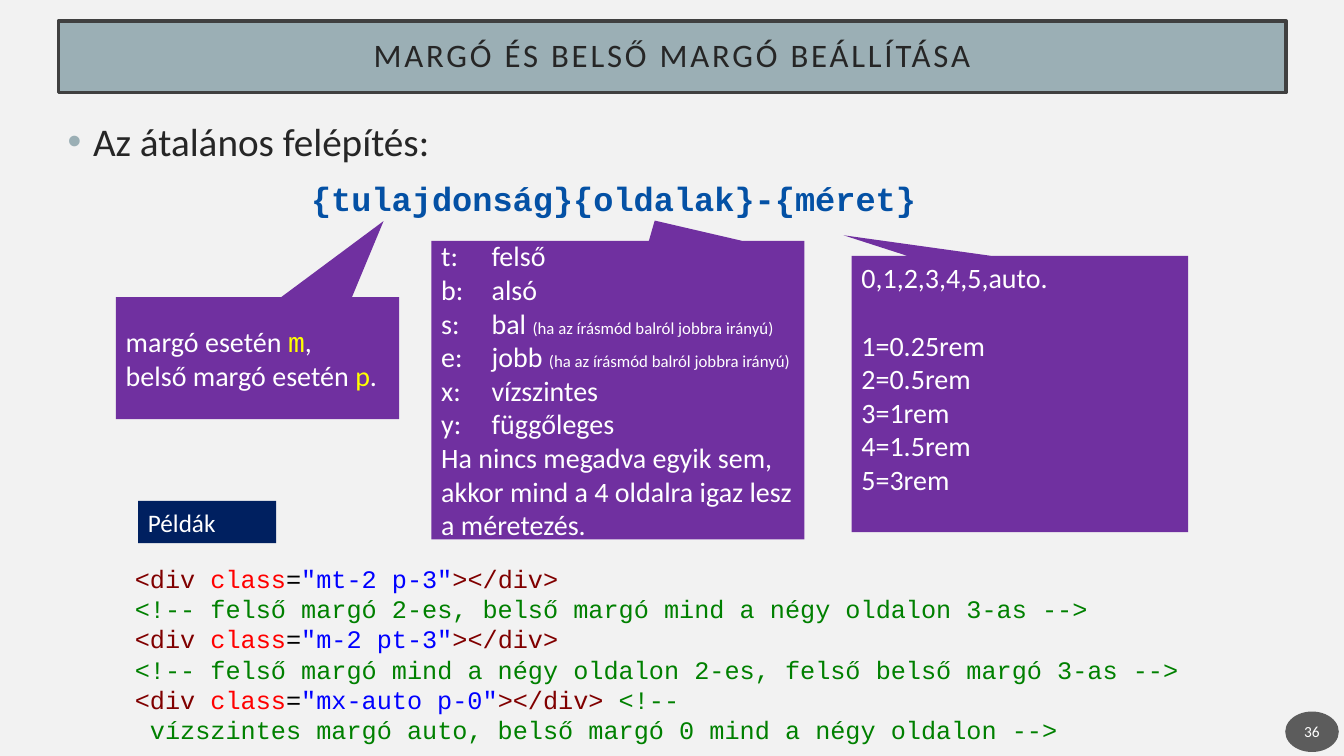
from dataclasses import dataclass
from typing import NamedTuple, Optional

from lxml.etree import SubElement
from pptx import Presentation
from pptx.dml.color import RGBColor as Rgb
from pptx.enum.shapes import MSO_SHAPE as Kind
from pptx.enum.text import MSO_ANCHOR as Anchor, MSO_AUTO_SIZE as Fit, PP_ALIGN as Align
from pptx.oxml.ns import qn
from pptx.util import Cm, Pt

HUES = {
    "page": "F2F2F2", "band": "9BAFB5", "edge": "404040", "ink": "262626",
    "badge": "1D1D1D", "white": "FFFFFF", "black": "000000", "navy": "002060",
    "purple": "7030A0", "yellow": "FFFF00", "blue": "0451A5",
    "tag": "800000", "name": "FF0000", "value": "0000FF", "note": "008000",
}
SANS, MONO = "Calibri", "Courier New"
BREAK = "\n"


class Run(NamedTuple):
    text: str
    hue: Optional[str] = None
    face: Optional[str] = None
    size: Optional[float] = None


class Place(NamedTuple):
    left: float
    top: float
    width: float
    height: float


@dataclass
class Line:
    runs: list[Run]
    gap: float = 0
    tab: float = 0


@dataclass
class Box:
    place: Place
    lines: list[Line]
    size: float
    hue: str = "white"
    face: str = SANS
    bold: bool = False
    kind: Optional[Kind] = None
    fill: str = "purple"
    tip: tuple[float, ...] = ()
    anchor: Anchor = Anchor.MIDDLE
    align: Align = Align.LEFT
    side: float = 0.25


def color(hue: str) -> Rgb:
    return Rgb.from_string(HUES[hue])


def style(font, hue=None, face=None, size=None) -> None:
    """Set only the font traits that are given."""
    if hue:
        font.color.rgb = color(hue)
    if face:
        font.name = face
    if size:
        font.size = Pt(size)


def move(shape, place: Place) -> None:
    shape.left, shape.top, shape.width, shape.height = map(Cm, place)


def paint(shape, hue: str) -> None:
    shape.fill.solid()
    shape.fill.fore_color.rgb = color(hue)


def write(frame, box: Box) -> None:
    for i, line in enumerate(box.lines):
        para = frame.paragraphs[0] if i == 0 else frame.add_paragraph()
        para.alignment = box.align
        if line.gap:
            para.space_before = Pt(line.gap)
        if line.tab:
            tabs = SubElement(para._p.get_or_add_pPr(), qn("a:tabLst"))
            SubElement(tabs, qn("a:tab"), pos=str(Cm(line.tab)), algn="l")
        style(para.font, box.hue, box.face, box.size)
        para.font.bold = box.bold
        for part in line.runs:
            if part.text == BREAK:
                para.add_line_break()
                continue
            run = para.add_run()
            run.text = part.text
            style(run.font, part.hue, part.face, part.size)


def draw(slide, box: Box):
    spot = map(Cm, box.place)
    if box.kind is None:
        shape = slide.shapes.add_textbox(*spot)
    else:
        shape = slide.shapes.add_shape(box.kind, *spot)
        shape.shadow.inherit = False
        paint(shape, box.fill)
        shape.line.fill.background()
        for i, value in enumerate(box.tip):
            shape.adjustments[i] = value
    frame = shape.text_frame
    frame.word_wrap = True
    frame.vertical_anchor = box.anchor
    frame.margin_left = frame.margin_right = Cm(box.side)
    write(frame, box)
    return shape


def code(value: str, *tail: Run) -> Line:
    """One sample element, its class value and the comment after it."""
    return Line([Run("<div", "tag"), Run(" class", "name"), Run("=", "black"),
                 Run(f'"{value}"', "value"), Run("></div>", "tag"), *tail])


def head(slide) -> None:
    title = slide.shapes.title
    move(title, Place(1.47, 0.53, 30.94, 1.8))
    paint(title, "band")
    title.line.color.rgb = color("edge")
    title.line.width = Pt(2.5)
    frame = title.text_frame
    frame.auto_size = Fit.NONE
    frame.vertical_anchor = Anchor.MIDDLE
    para = frame.paragraphs[0]
    para.alignment = Align.CENTER
    para.line_spacing = 0.9
    style(para.font, "ink", SANS, 23.4)
    run = para.add_run()
    run.text = "MARGÓ ÉS BELSŐ MARGÓ BEÁLLÍTÁSA"
    run._r.get_or_add_rPr().set("spc", "200")


def intro(slide) -> None:
    body = slide.placeholders[1]
    move(body, Place(1.45, 2.82, 28.27, 1.83))
    body.text_frame.auto_size = Fit.NONE
    para = body.text_frame.paragraphs[0]
    para.space_before = Pt(0)
    props = para._p.get_or_add_pPr()
    props.set("marL", str(Cm(0.64)))
    props.set("indent", str(Cm(-0.64)))
    tint = SubElement(props, qn("a:buClr"))
    SubElement(tint, qn("a:srgbClr"), val=HUES["band"])
    SubElement(props, qn("a:buFont"), typeface="Arial")
    SubElement(props, qn("a:buChar"), char="•")
    style(para.font, "ink", SANS, 28)
    para.add_run().text = "Az átalános felépítés:"


CALL = Kind.RECTANGULAR_CALLOUT
HINT = Run("(ha az írásmód balról jobbra irányú)", size=12)
SIDES = [("t", "felső"), ("b", "alsó"), ("s", "bal ", HINT),
         ("e", "jobb ", HINT), ("x", "vízszintes"), ("y", "függőleges")]
REMS = ["0.25", "0.5", "1", "1.5", "3"]

BADGE = Box(Place(32.39, 17.93, 1.35, 1.02), [Line([Run("36")])], 11,
            kind=Kind.OVAL, fill="badge", align=Align.CENTER, side=0.05)

BOXES = [
    Box(Place(7.59, 4.37, 16.92, 1.3),
        [Line([Run("{tulajdonság}{oldalak}-{méret}")])],
        24, "blue", MONO, bold=True, anchor=Anchor.TOP),
    Box(Place(2.92, 7.49, 7.14, 3.07),
        [Line([Run("margó esetén "), Run("m", "yellow", MONO), Run(","), Run(BREAK),
               Run("belső margó esetén "), Run("p", "yellow"), Run(".")])],
        20, kind=CALL, tip=(0.445, -1.125)),
    Box(Place(10.87, 6.07, 9.4, 7.52),
        [Line([Run(f"{key}:\t{side}"), *hint], tab=1.27) for key, side, *hint in SIDES]
        + [Line([Run("Ha nincs megadva egyik sem, akkor mind a 4 oldalra "
                     "igaz lesz a méretezés.")])],
        20, kind=CALL, tip=(0.099, -0.568)),
    Box(Place(21.46, 6.45, 8.48, 6.96),
        [Line([Run("0,1,2,3,4,5,auto.")])]
        + [Line([Run(f"{i}={rem}rem")], gap=24 if i == 1 else 0)
           for i, rem in enumerate(REMS, 1)],
        20, kind=CALL, tip=(-0.524, -0.575), anchor=Anchor.TOP),
    Box(Place(3.15, 14.07, 30.2, 4.88),
        [code("mt-2 p-3", Run(BREAK),
              Run("<!-- felső margó 2-es, belső margó mind a négy oldalon 3-as -->", "note")),
         code("m-2 pt-3", Run(BREAK),
              Run("<!-- felső margó mind a négy oldalon 2-es, felső belső margó 3-as -->",
                  "note")),
         code("mx-auto p-0", Run(" <!--", "note"), Run(BREAK),
              Run(" vízszintes margó auto, belső margó 0 mind a négy oldalon -->", "note"))],
        18, "black", MONO, anchor=Anchor.TOP),
    Box(Place(3.48, 12.62, 3.48, 1.07), [Line([Run("Példák")])], 18,
        kind=Kind.RECTANGLE, fill="navy"),
]


def main() -> None:
    deck = Presentation()
    deck.slide_width, deck.slide_height = Cm(33.87), Cm(19.05)
    slide = deck.slides.add_slide(deck.slide_layouts[1])
    paint(slide.background, "page")
    head(slide)
    intro(slide)
    badge = draw(slide, BADGE)
    tint = badge._element.spPr.find(qn("a:solidFill"))[0]
    SubElement(tint, qn("a:alpha"), val="70000")
    for box in BOXES:
        draw(slide, box)
    deck.save("out.pptx")


if __name__ == "__main__":
    main()
